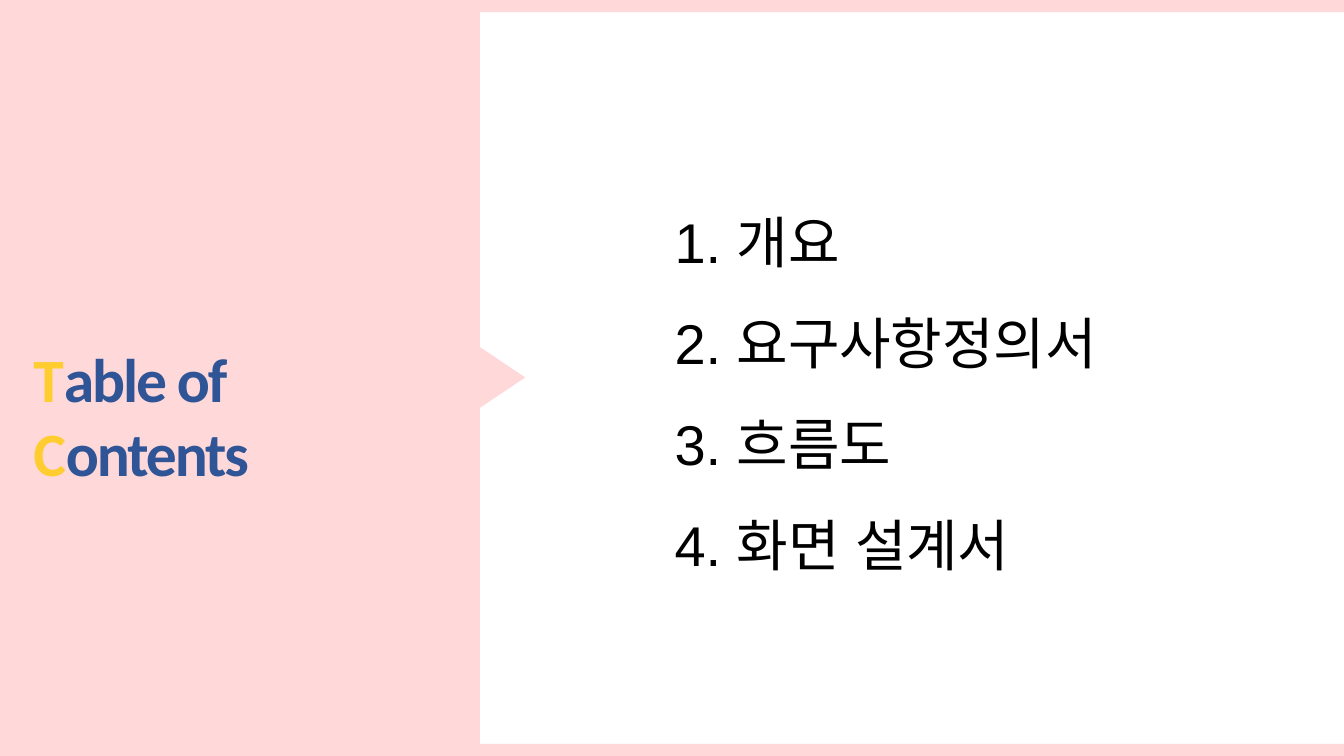
from pptx import Presentation
from pptx.dml.color import RGBColor
from pptx.enum.shapes import MSO_SHAPE as Shape
from pptx.enum.text import MSO_ANCHOR as Anchor, MSO_AUTO_SIZE as Fit, PP_ALIGN as Align
from pptx.oxml.ns import qn
from pptx.util import Inches, Pt
from lxml.etree import SubElement

PINK = RGBColor(0xFF, 0xD8, 0xD9)
GOLD = RGBColor(0xFF, 0xCD, 0x2F)
BLUE = RGBColor(0x2F, 0x55, 0x97)
BLACK = RGBColor(0, 0, 0)

deck = Presentation()
deck.slide_width = Inches(13.33)
deck.slide_height = Inches(7.5)
slide = deck.slides.add_slide(deck.slide_layouts[1])
title, body = slide.placeholders
tree = slide.shapes


def block(home, kind, left, top, width, height):
    shape = home.add_shape(kind, Inches(left), Inches(top), Inches(width), Inches(height))
    shape.shadow.inherit = False
    shape.fill.solid()
    shape.fill.fore_color.rgb = PINK
    shape.line.fill.background()
    return shape


def place(box, left, top, width, height):
    box.left, box.top = Inches(left), Inches(top)
    box.width, box.height = Inches(width), Inches(height)
    frame = box.text_frame
    frame.word_wrap = True
    frame.auto_size = Fit.NONE
    frame.vertical_anchor = Anchor.TOP
    tree._spTree.append(box._element)
    return frame


panel = tree.add_group_shape().shapes
block(panel, Shape.RECTANGLE, 0, 0, 4.76, 7.5)
block(panel, Shape.ISOSCELES_TRIANGLE, 4.66, 3.51, 0.63, 0.47).rotation = 90
for top in (0, 7.38):
    block(tree, Shape.RECTANGLE, 0, top, 13.33, 0.12)

frame = place(title, 0.23, 3.33, 4.29, 0.84)
frame.margin_right = Inches(0.5)
para = frame.paragraphs[0]
para.alignment = Align.LEFT
for text, color in (("T", GOLD), ("able of ", BLUE), ("C", GOLD), ("ontents", BLUE)):
    run = para.add_run()
    run.text = text
    run.font.name = "Calibri"
    run.font.size = Pt(44)
    run.font.bold = True
    run.font.color.rgb = color
    run._r.get_or_add_rPr().set("spc", "-150")

frame = place(body, 6.59, 1.68, 4.76, 4.14)
for num, text in enumerate((" 개요", " 요구사항정의서", " 흐름도", " 화면 설계서")):
    para = frame.add_paragraph() if num else frame.paragraphs[0]
    para.line_spacing = 1.5
    para.space_before = Pt(0)
    props = para._p.get_or_add_pPr()
    props.set("marL", str(Inches(0.38)))
    props.set("indent", str(Inches(-0.38)))
    SubElement(props, qn("a:buFont"), typeface="Arial")
    SubElement(props, qn("a:buAutoNum"), type="arabicPeriod")
    run = para.add_run()
    run.text = text
    run.font.name = "Arial"
    run.font.size = Pt(40)
    run.font.color.rgb = BLACK
    SubElement(run._r.get_or_add_rPr(), qn("a:ea"), typeface="Arial")

deck.save("out.pptx")
